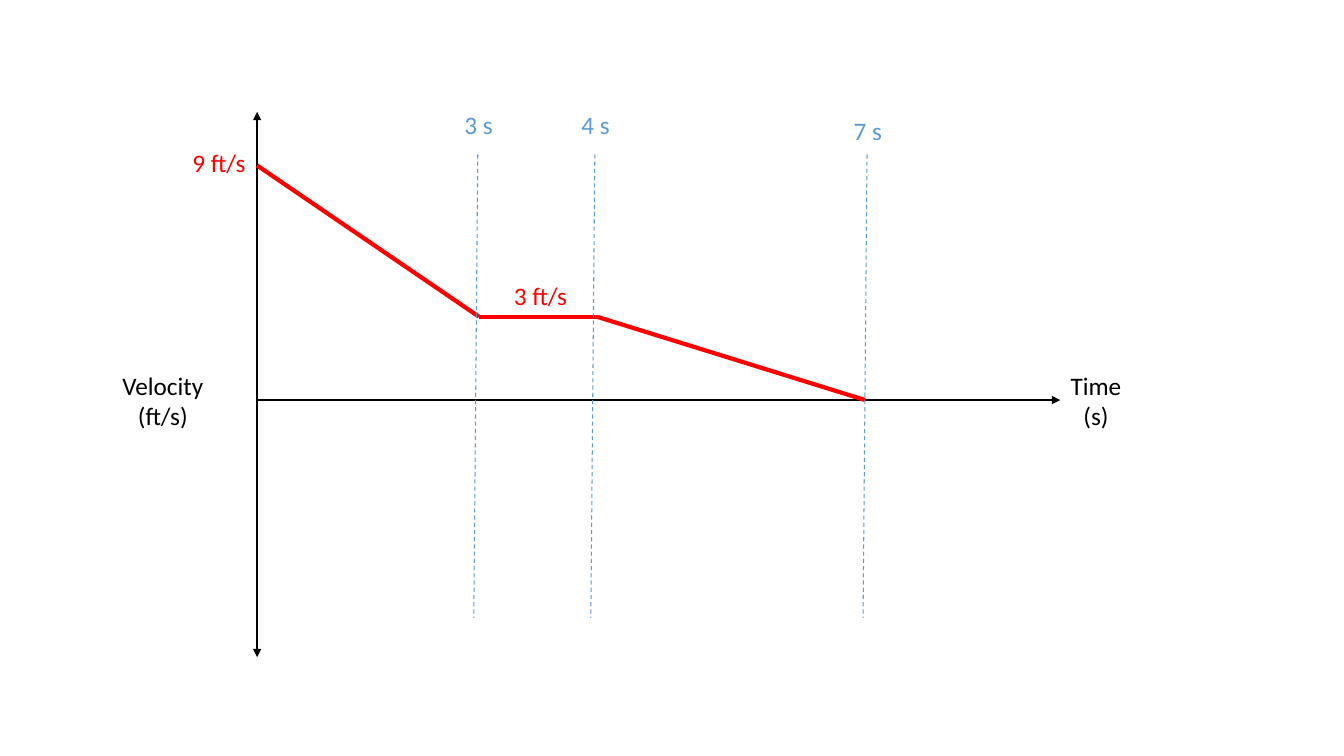
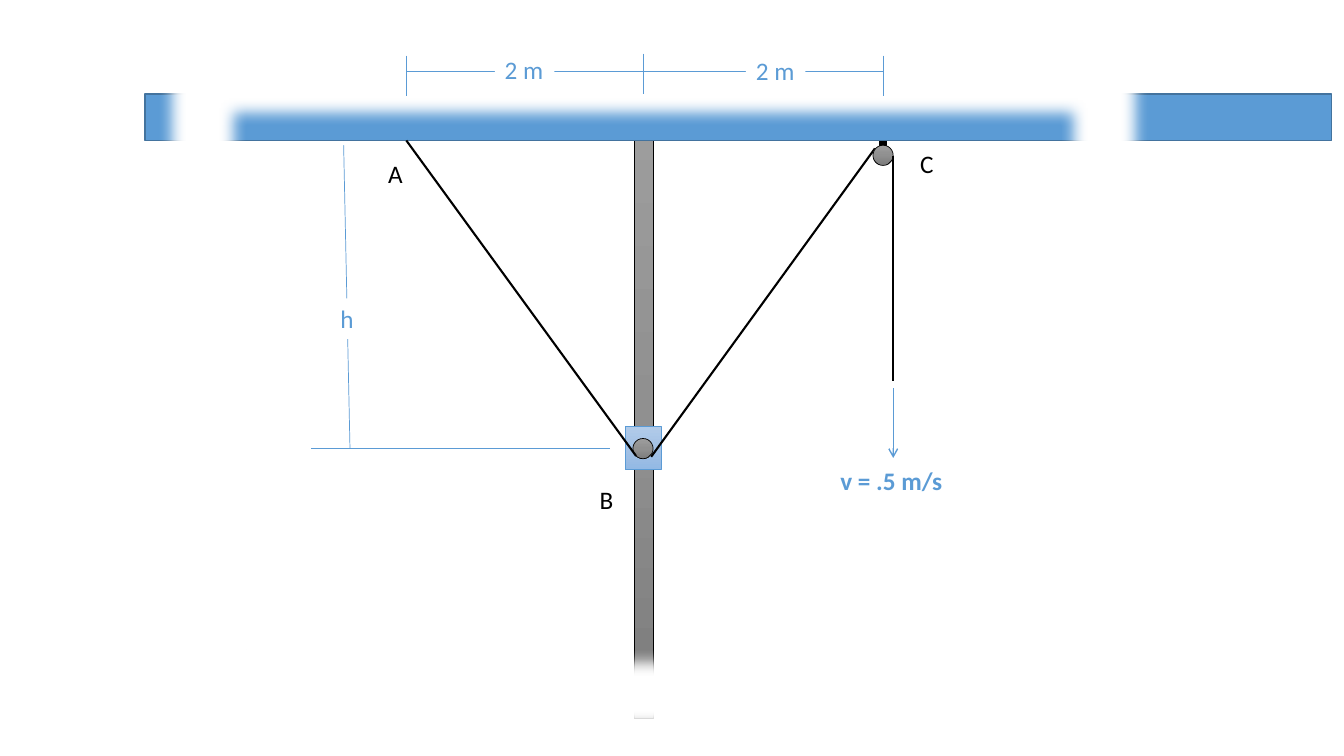
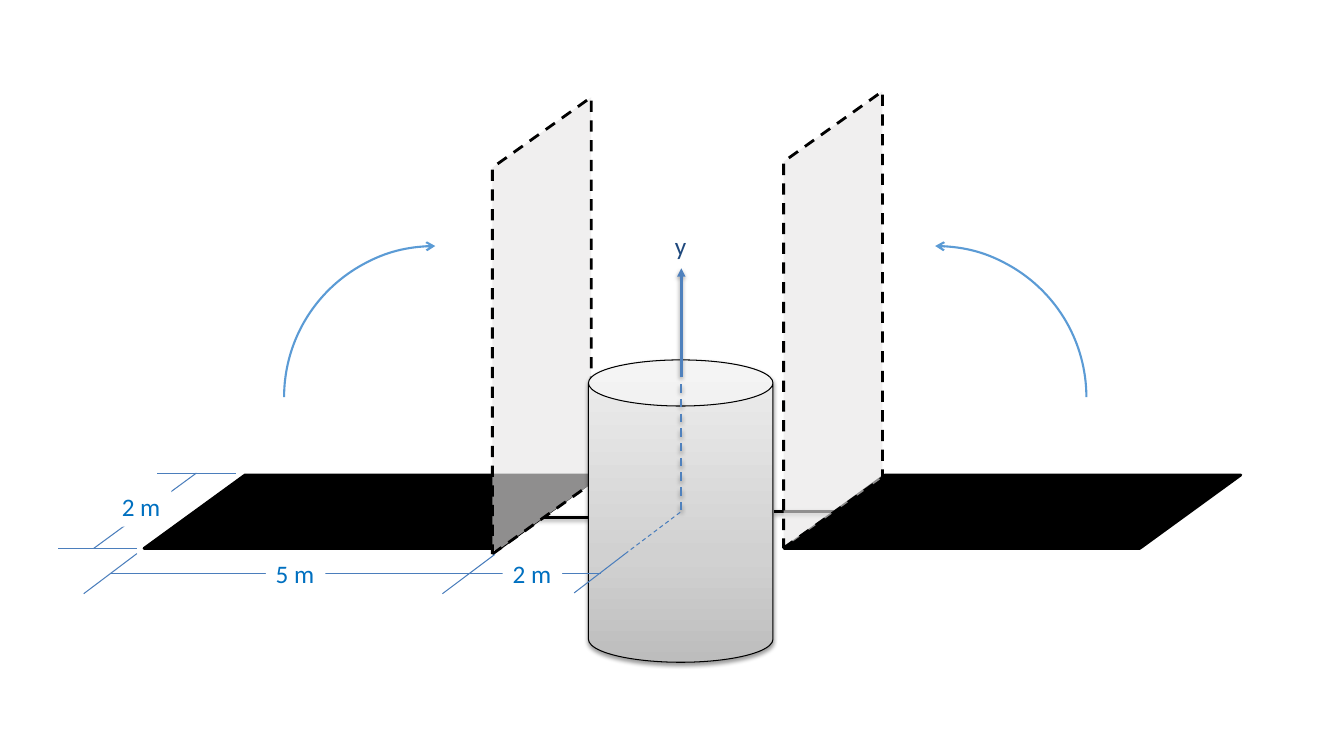
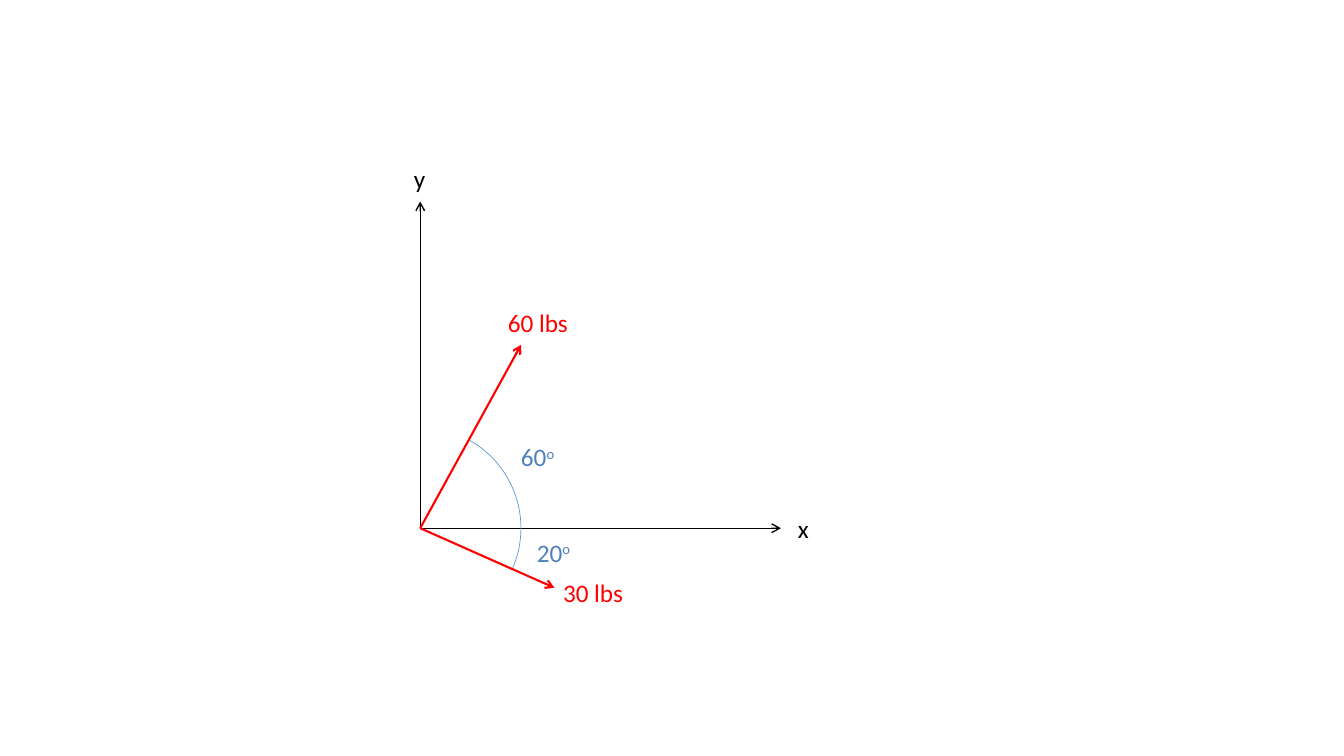
import dataclasses
import lxml.etree
import pptx
import pptx.dml.color
import pptx.enum.dml
import pptx.enum.shapes
import pptx.enum.text
import pptx.oxml.ns
import pptx.util

Cm = pptx.util.Cm
Pt = pptx.util.Pt
SHAPE = pptx.enum.shapes.MSO_SHAPE
ALIGN = pptx.enum.text.PP_ALIGN

FONT = "Calibri"
TEXT_SIZE = 18
LINE_HEIGHT = 1.02
BLACK = "000000"
WHITE = "FFFFFF"
RED = "FF0000"
BLUE = "5B9BD5"
STEEL = "4F81BD"
MEASURE = "4B7EBC"
MEASURE_TEXT = "0070C0"
NAVY = "1F497D"
PANEL = "E7E6E6"
BEAM_EDGE = "43739E"
METAL = ((0, "9D9D9D"), (50, "909090"), (100, "7C7C7C"))
SLIDER = ((0, "B1CBE9"), (50, "A3C1E5"), (100, "93B9E4"))
CYLINDER = ((0, "BDBDBD"), (35, "D1D1D1"), (100, "EEEEEE"))


def rgb(colour):
    return pptx.dml.color.RGBColor.from_string(colour)


def add_child(parent, tag, **attributes):
    child = lxml.etree.SubElement(parent, pptx.oxml.ns.qn(tag))
    for name, value in attributes.items():
        child.set(name, str(value))
    return child


def child_of(shape, tag):
    return shape._element.spPr.find(pptx.oxml.ns.qn(tag))


def set_outline(shape, colour, width, dash=False, head=None, tail=None):
    shape.line.color.rgb = rgb(colour)
    shape.line.width = Pt(width)
    if dash:
        shape.line.dash_style = pptx.enum.dml.MSO_LINE.DASH
    for tag, kind in (("a:headEnd", head), ("a:tailEnd", tail)):
        if kind:
            add_child(child_of(shape, "a:ln"), tag, type=kind)


def set_fill(shape, colour, opacity=100):
    shape.fill.solid()
    shape.fill.fore_color.rgb = rgb(colour)
    if opacity < 100:
        solid = child_of(shape, "a:solidFill")
        add_child(solid[0], "a:alpha", val=opacity * 1000)


def set_gradient(shape, stops, angle):
    shape.fill.gradient()
    gradient = child_of(shape, "a:gradFill")
    stop_list = gradient.find(pptx.oxml.ns.qn("a:gsLst"))
    for old_stop in list(stop_list):
        stop_list.remove(old_stop)
    for position, colour in stops:
        stop = add_child(stop_list, "a:gs", pos=position * 1000)
        add_child(stop, "a:srgbClr", val=colour)
    gradient.find(pptx.oxml.ns.qn("a:lin")).set("ang", str(angle * 60000))


def cast_shadow(shape, opacity=38, distance=1.6):
    shadow = add_child(child_of(shape, "a:effectLst"), "a:outerShdw",
                       blurRad=Pt(3.1), dist=Pt(distance),
                       dir=90 * 60000, rotWithShape=0)
    colour = add_child(shadow, "a:srgbClr", val=BLACK)
    add_child(colour, "a:alpha", val=opacity * 1000)


def soften_edge(shape, radius):
    add_child(child_of(shape, "a:effectLst"), "a:softEdge", rad=Pt(radius))


def flip(shape):
    child_of(shape, "a:xfrm").set("flipH", "1")


@dataclasses.dataclass
class Box:
    page: object
    left: float
    top: float
    width: float
    height: float

    def line(self, start, end, colour, width, **style):
        connector = self.page.shapes.add_connector(
            pptx.enum.shapes.MSO_CONNECTOR.STRAIGHT,
            Cm(self.left + start[0]), Cm(self.top + start[1]),
            Cm(self.left + end[0]), Cm(self.top + end[1]))
        set_outline(connector, colour, width, **style)
        add_child(connector._element.spPr, "a:effectLst")
        return connector

    def shape(self, kind, left, top, width, height):
        shape = self.page.shapes.add_shape(
            kind, Cm(self.left + left), Cm(self.top + top),
            Cm(width), Cm(height))
        shape.shadow.inherit = False
        return shape

    def arc(self, left, top, size, width, **style):
        arc = self.shape(SHAPE.ARC, left, top, size, size)
        arc.fill.background()
        set_outline(arc, BLUE, width, **style)
        return arc

    def label(self, text, left, top, width, colour=BLACK, align=ALIGN.LEFT,
              fill=None, bold=None, superscript=None):
        lines = text.count("\n") + 1
        label = self.page.shapes.add_textbox(
            Cm(self.left + left), Cm(self.top + top),
            Cm(width), Cm(LINE_HEIGHT + 0.78 * (lines - 1)))
        if fill:
            set_fill(label, fill)
        frame = label.text_frame
        frame.word_wrap = False
        frame.auto_size = pptx.enum.text.MSO_AUTO_SIZE.SHAPE_TO_FIT_TEXT
        frame.text = text
        if superscript:
            span = frame.paragraphs[0].add_run()
            span.text = superscript
            span._r.get_or_add_rPr().set("baseline", "30000")
        for para in frame.paragraphs:
            para.alignment = align
            for span in para.runs:
                span.font.name = FONT
                span.font.size = Pt(TEXT_SIZE)
                span.font.bold = bold
                span.font.color.rgb = rgb(colour)


def draw_velocity_graph(box):
    zero = 7.26
    box.line((0, 0), (0, box.height), BLACK, 1.5,
             head="triangle", tail="triangle")
    box.line((0, zero), (box.width, zero), BLACK, 1.5, tail="triangle")
    box.label("Velocity\n(ft/s)", -3.66, 6.38, 2.57, align=ALIGN.CENTER)
    box.label("Time\n(s)", box.width, 6.38, 1.8, align=ALIGN.CENTER)

    points = ((0, 1.35), (5.59, 5.16), (8.56, 5.16), (15.32, zero))
    for start, end in zip(points, points[1:]):
        box.line(start, end, RED, 3)
    for text, left, top in (("9 ft/s", -1.9, 0.76), ("3 ft/s", 6.2, 4.11)):
        box.label(text, left, top, 1.88, RED, ALIGN.CENTER)

    for text, x, top in (("3 s", 5.56, -0.18), ("4 s", 8.51, -0.18),
                         ("7 s", 15.37, -0.05)):
        box.line((x, 1.07), (x - 0.1, 12.75), BLUE, 0.75, dash=True)
        box.label(text, x - 0.6, top, 1.24, BLUE, ALIGN.CENTER)


def draw_metal_part(box, kind, left, top, width, height):
    part = box.shape(kind, left, top, width, height)
    set_gradient(part, METAL, 90)
    set_outline(part, BLACK, 0.5)


def draw_pulley_system(box):
    anchor, centre, pulley = 6.58, 12.55, 18.59
    rope_end = 18.85
    floor = 10.34

    box.line((pulley, 1.93), (pulley, 2.97), BLACK, 6)
    draw_metal_part(box, SHAPE.RECTANGLE, 12.32, 1.98, 0.48, 15.16)
    slider = box.shape(SHAPE.RECTANGLE, 12.09, 9.78, 0.91, 1.09)
    set_gradient(slider, SLIDER, 90)
    set_outline(slider, BLUE, 0.5)
    draw_metal_part(box, SHAPE.OVAL, 12.29, 10.08, 0.51, 0.51)

    beam = box.shape(SHAPE.RECTANGLE, 0, 1.4, box.width, 1.17)
    set_fill(beam, BLUE)
    set_outline(beam, BEAM_EDGE, 1)
    fade = box.shape(SHAPE.FRAME, 0.36, 0, 24.92, box.height)
    set_fill(fade, WHITE)
    fade.line.fill.background()
    soften_edge(fade, 10)

    box.line((anchor, 2.57), (12.37, 10.52), BLACK, 1.5)
    box.line((18.39, 2.77), (12.75, 10.54), BLACK, 1.5)
    draw_metal_part(box, SHAPE.OVAL, 18.34, 2.69, 0.51, 0.51)
    box.line((rope_end, 2.95), (rope_end, 8.64), BLACK, 1.5)

    box.line((anchor, 0.84), (pulley, 0.84), BLUE, 0.5)
    for x, top in ((anchor, 0.43), (centre, 0.38), (pulley, 0.43)):
        box.line((x, top), (x, top + 1.02), BLUE, 0.5)
    box.line((11.71, floor), (4.17, floor), BLUE, 0.5)
    box.line((5, 2.69), (5.16, floor), BLUE, 0.5)
    for text, left, top, width in (("2 m", 8.81, 0.28, 1.5),
                                   ("2 m", 15.14, 0.3, 1.5),
                                   ("h", 4.67, 6.55, 0.86)):
        box.label(text, left, top, width, BLUE, fill=WHITE)

    box.label("v = .5 m/s", 17.27, 10.62, 3.1, BLUE, bold=True)
    box.line((rope_end, 8.81), (rope_end, 10.57), BLUE, 1, tail="arrow")
    for text, left, top in (("A", 5.87, 2.9), ("B", 11.2, 11.1),
                            ("C", 19.28, 2.64)):
        box.label(text, left, top, 0.87)


def draw_flat_panel(box, left):
    panel = box.shape(SHAPE.PARALLELOGRAM, left, 9.68, 11.51, 1.85)
    panel.adjustments[0] = 1.376
    set_fill(panel, BLACK)
    set_outline(panel, BLACK, 2)


def draw_raised_panel(box, left, top):
    panel = box.shape(SHAPE.PARALLELOGRAM, left, top, 11.51, 2.49)
    panel.adjustments[0] = 0.712
    panel.rotation = 90
    flip(panel)
    set_fill(panel, PANEL, 62)
    set_outline(panel, BLACK, 2, dash=True)


def draw_satellite(box):
    axis = 15.7
    cast_shadow(box.line((10.69, 10.74), (13.36, 10.74), BLACK, 2))
    draw_flat_panel(box, 2.16)
    draw_raised_panel(box, 6.43, 4.67)
    body = box.shape(SHAPE.CAN, 13.36, 6.78, 4.65, 7.62)
    set_gradient(body, CYLINDER, 270)
    set_outline(body, BLACK, 0.75)
    cast_shadow(body)
    draw_flat_panel(box, 18.29)
    cast_shadow(box.line((18.03, 10.59), (19.56, 10.59), BLACK, 2))

    cast_shadow(box.line((axis, 7.21), (axis, 4.47), STEEL, 2,
                         tail="triangle"))
    box.label("y", 15.29, 3.4, 0.81, NAVY)
    cast_shadow(box.line((axis, 7.39), (axis, 10.59), STEEL, 1.5, dash=True),
                35, 1.8)

    for start, end in (((1.98, 11.53), (0, 11.53)),
                       ((4.47, 9.63), (2.49, 9.63)),
                       ((3.48, 9.63), (0.89, 11.53)),
                       ((1.98, 11.66), (0.64, 12.67)),
                       ((11, 11.68), (9.68, 12.67)),
                       ((14.33, 11.63), (13, 12.65)),
                       ((13.67, 12.17), (1.3, 12.17))):
        box.line(start, end, MEASURE, 0.75)
    box.line((15.67, 10.62), (14.33, 11.63), MEASURE, 0.75, dash=True)
    for text, left, top in (("2 m", 11.2, 11.66), ("5 m", 5.23, 11.66),
                            ("2 m", 1.35, 9.96)):
        box.label(text, left, top, 1.5, MEASURE_TEXT, fill=WHITE)

    draw_raised_panel(box, 13.77, 4.52)
    box.arc(18.29, 3.91, 7.62, 1.5, head="arrow")
    flip(box.arc(5.69, 3.91, 7.62, 1.5, head="arrow"))


def draw_force_diagram(box):
    origin = (0, box.height)
    radius = 2.54
    box.line(origin, (0, 0), BLACK, 1, tail="arrow")
    box.line(origin, (box.width, box.height), BLACK, 1, tail="arrow")
    box.label("x", 9.27, 7.72, 0.79)
    box.label("y", -0.41, -1.09, 0.81)

    angles = box.arc(-radius, box.height - radius, 2 * radius, 0.5)
    for index, degrees in enumerate((299.65, 24.49)):
        angles.adjustments[index] = degrees * 0.6

    for text, tip, left, top in (("60 lbs", (2.54, 3.61), 1.96, 2.54),
                                 ("30 lbs", (3.38, 9.73), 3.35, 9.35)):
        box.line(origin, tip, RED, 1.5, tail="arrow")
        box.label(text, left, top, 2.03, RED)
    for text, left, top in (("60", 2.29, 5.92), ("20", 2.69, 8.33)):
        box.label(text, left, top, 1.4, STEEL, superscript="o")


def main():
    deck = pptx.Presentation()
    deck.slide_width = Cm(33.87)
    deck.slide_height = Cm(19.05)
    for draw, area in ((draw_velocity_graph, (6.48, 2.82, 20.24, 13.74)),
                       (draw_pulley_system, (3.66, 0.97, 29.9, 17.63)),
                       (draw_satellite, (1.47, 2.29, 29.79, 14.4)),
                       (draw_force_diagram, (10.59, 5.08, 9.09, 8.23))):
        page = deck.slides.add_slide(deck.slide_layouts[6])
        draw(Box(page, *area))
    deck.save("out.pptx")


if __name__ == "__main__":
    main()
